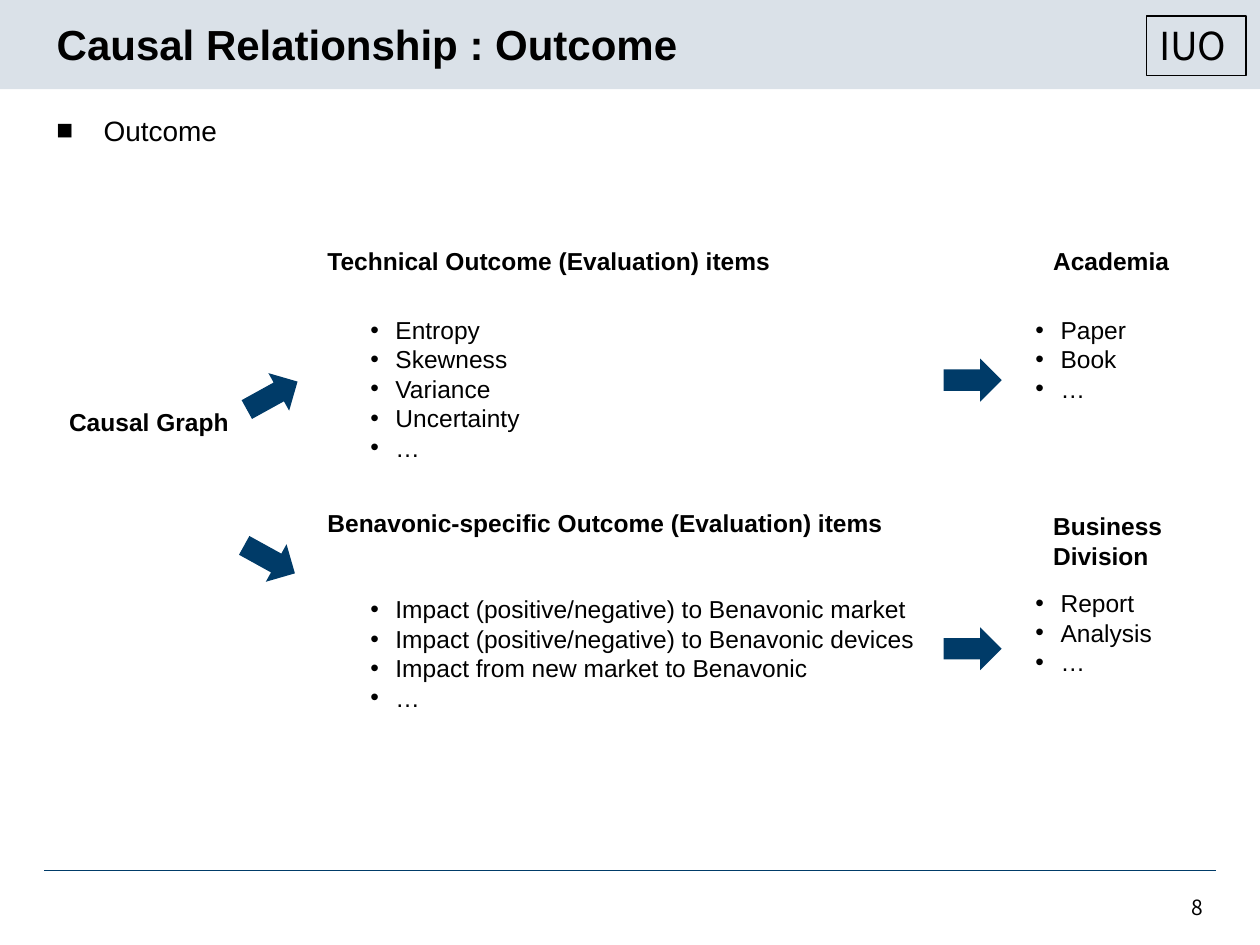
from lxml import etree
from pptx import Presentation
from pptx.dml.color import RGBColor
from pptx.enum.shapes import MSO_CONNECTOR, MSO_SHAPE
from pptx.enum.text import MSO_ANCHOR, MSO_AUTO_SIZE, PP_ALIGN
from pptx.oxml.ns import qn
from pptx.util import Pt

RECTANGLE, RIGHT_ARROW = MSO_SHAPE.RECTANGLE, MSO_SHAPE.RIGHT_ARROW
STRAIGHT = MSO_CONNECTOR.STRAIGHT
TOP, MIDDLE = MSO_ANCHOR.TOP, MSO_ANCHOR.MIDDLE
LEFT, RIGHT = PP_ALIGN.LEFT, PP_ALIGN.RIGHT
NO_AUTOFIT = MSO_AUTO_SIZE.NONE

BLACK = RGBColor(0x00, 0x00, 0x00)
NAVY = RGBColor(0x00, 0x3B, 0x68)
PALE_BLUE = RGBColor(0xDA, 0xE1, 0xE8)
LATIN_FONT, CJK_FONT = "Arial", "Noto Sans CJK JP"

SLIDE_WIDTH, SLIDE_HEIGHT = 720, 540
ITEM_INDENT = 14.4
ARROW_SIZE = (33.12, 24.48)


def add_bullet(paragraph, char, indent):
    properties = paragraph._p.get_or_add_pPr()
    properties.set("marL", str(Pt(indent)))
    properties.set("indent", str(-Pt(indent)))
    etree.SubElement(properties, qn("a:buFont")).set("typeface", LATIN_FONT)
    etree.SubElement(properties, qn("a:buChar")).set("char", char)


def write_text(frame, lines, size=14, bold=False, font=LATIN_FONT, align=LEFT,
               anchor=TOP, wrap=False, bullet=None, indent=ITEM_INDENT, spacing=None):
    """Fill a text frame with one paragraph per line."""
    frame.auto_size = NO_AUTOFIT
    frame.word_wrap = wrap
    frame.vertical_anchor = anchor
    for index, line in enumerate(lines):
        paragraph = frame.add_paragraph() if index else frame.paragraphs[0]
        paragraph.text = line
        paragraph.alignment = align
        if spacing:
            paragraph.line_spacing = spacing
        if bullet:
            add_bullet(paragraph, bullet, indent)
        for run in paragraph.runs:
            run.font.size = Pt(size)
            run.font.bold = bold
            run.font.name = font
            run.font.color.rgb = BLACK


class SlideBuilder:
    def __init__(self, presentation):
        self.slide = presentation.slides.add_slide(presentation.slide_layouts[5])
        self.shapes = self.slide.shapes

    def title(self, text, left, top, width, height):
        title = self.shapes.title
        title.left, title.top = Pt(left), Pt(top)
        title.width, title.height = Pt(width), Pt(height)
        frame = title.text_frame
        frame.margin_top = frame.margin_bottom = 0
        write_text(frame, [text], size=24, bold=True, anchor=MIDDLE,
                   wrap=True, spacing=0.9)
        # The title goes in front of the header band
        title._element.getparent().append(title._element)

    def shape(self, kind, left, top, width, height, fill=None, line=None, rotation=0):
        shape = self.shapes.add_shape(kind, Pt(left), Pt(top), Pt(width), Pt(height))
        shape.shadow.inherit = False
        shape.rotation = rotation
        if fill is None:
            shape.fill.background()
        else:
            shape.fill.solid()
            shape.fill.fore_color.rgb = fill
        if line is None:
            shape.line.fill.background()
        else:
            shape.line.color.rgb = line
            shape.line.width = Pt(0.75)
        return shape

    def arrow(self, left, top, rotation=0):
        return self.shape(RIGHT_ARROW, left, top, *ARROW_SIZE, fill=NAVY, rotation=rotation)

    def rule(self, left, right, y):
        rule = self.shapes.add_connector(STRAIGHT, Pt(left), Pt(y), Pt(right), Pt(y))
        rule.line.color.rgb = NAVY
        rule.line.width = Pt(1)
        etree.SubElement(rule._element.spPr, qn("a:effectLst"))

    def text(self, lines, left, top, width, height, **style):
        box = self.shapes.add_textbox(Pt(left), Pt(top), Pt(width), Pt(height))
        write_text(box.text_frame, lines, **style)


def main():
    presentation = Presentation()
    presentation.slide_width, presentation.slide_height = Pt(SLIDE_WIDTH), Pt(SLIDE_HEIGHT)
    builder = SlideBuilder(presentation)

    builder.shape(RECTANGLE, 0, 0, SLIDE_WIDTH, 51, fill=PALE_BLUE)
    builder.rule(25.2, 694.8, 497.5)
    usage_mark = builder.shape(RECTANGLE, 655.2, 9.2, 56.9, 34, line=BLACK)
    write_text(usage_mark.text_frame, ["IUO"], size=22, font=CJK_FONT)
    builder.title("Causal Relationship : Outcome", 25.2, 13.7, 646.5, 25.9)
    builder.text(["8"], 657.4, 504, 37.4, 28.8, size=12, font=CJK_FONT,
                 align=RIGHT, anchor=MIDDLE, wrap=True)
    builder.text(["Outcome"], 25.2, 61.2, 669.6, 26.6, size=16, wrap=True,
                 bullet="■", indent=27)

    builder.text(["Causal Graph"], 32.4, 229, 105.8, 24.5, bold=True)
    builder.arrow(139, 213.8, rotation=-28.9)
    builder.arrow(137.5, 307.4, rotation=28.9)

    headings = [
        ("Technical Outcome (Evaluation) items", 180, 136.8, 268.6, 24.5),
        ("Benavonic-specific Outcome (Evaluation) items", 180, 286.6, 331.9, 24.5),
        ("Academia", 594.7, 136.8, 81.4, 24.5),
        ("Business\nDivision", 594.7, 288.7, 77, 41),
    ]
    for heading, *place in headings:
        builder.text([heading], *place, bold=True)

    item_lists = [
        (["Entropy", "Skewness", "Variance", "Uncertainty", "…"],
         204.5, 176.4, 100.1, 92.2),
        (["Impact (positive/negative) to Benavonic market",
          "Impact (positive/negative) to Benavonic devices",
          "Impact from new market to Benavonic", "…"],
         204.5, 336.2, 334.8, 74.9),
        (["Paper", "Book", "…"], 584.6, 176.4, 67, 58.3),
        (["Report", "Analysis", "…"], 584.6, 332.6, 81.4, 58.3),
    ]
    for items, *place in item_lists:
        builder.text(items, *place, bullet="•")

    for arrow_top in (205, 358.5):
        builder.arrow(539.3, arrow_top)

    presentation.save("out.pptx")


if __name__ == "__main__":
    main()
